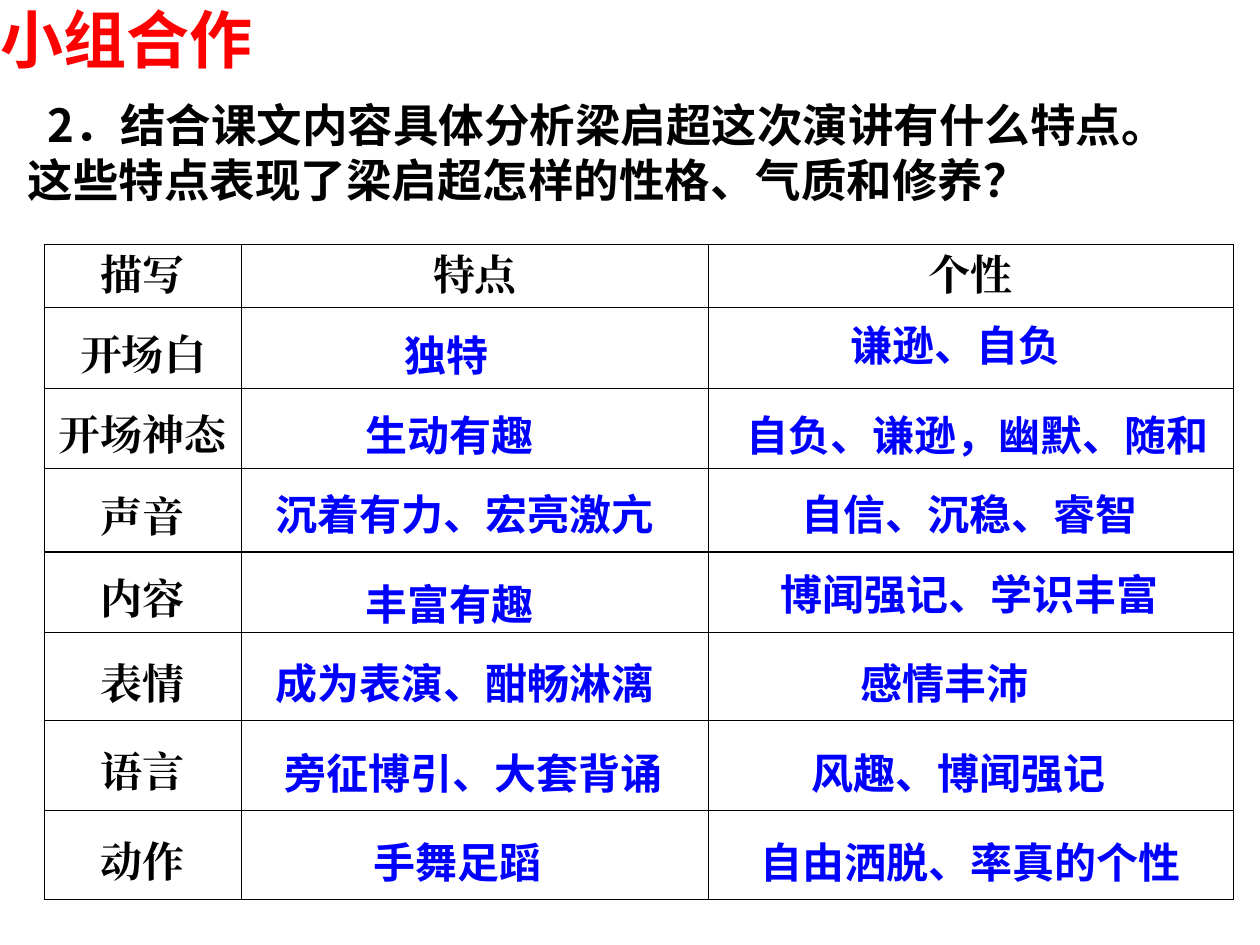
from lxml.etree import SubElement
from pptx import Presentation
from pptx.dml.color import RGBColor
from pptx.enum.text import MSO_ANCHOR, MSO_AUTO_SIZE, PP_ALIGN
from pptx.oxml.ns import qn
from pptx.util import Inches, Pt

RED = RGBColor(0xFF, 0x00, 0x00)
BLACK = RGBColor(0x00, 0x00, 0x00)
BLUE = RGBColor(0x00, 0x00, 0xFF)

COLUMN_WIDTHS = [1.57, 3.7, 4.17]
ROW_HEIGHTS = [0.5, 0.64, 0.64, 0.66, 0.64, 0.7, 0.71, 0.71]
HEADINGS = ["描写", "特点", "个性"]
ASPECTS = ["开场白", "开场神态", "声音", "内容", "表情", "语言", "动作"]

# Answers of each column: left, top, text
FEATURES = [
    (3.11, 2.57, "独特"),
    (2.8, 3.2, "生动有趣"),
    (2.09, 3.83, "沉着有力、宏亮激亢"),
    (2.8, 4.54, "丰富有趣"),
    (2.09, 5.17, "成为表演、酣畅淋漓"),
    (2.16, 5.88, "旁征博引、大套背诵"),
    (2.87, 6.59, "手舞足蹈"),
]
PERSONALITY = [
    (6.65, 2.49, "谦逊、自负"),
    (5.83, 3.2, "自负、谦逊，幽默、随和"),
    (6.26, 3.83, "自信、沉稳、睿智"),
    (6.1, 4.46, "博闻强记、学识丰富"),
    (6.73, 5.17, "感情丰沛"),
    (6.34, 5.88, "风趣、博闻强记"),
    (5.94, 6.59, "自由洒脱、率真的个性"),
]
CHARACTER_WIDTH, BOX_PADDING = 0.354, 0.28


def add_run(paragraph, text, size, font_name, color, shadow=True):
    run = paragraph.add_run()
    run.text = text
    run.font.size = Pt(size)
    run.font.bold = True
    run.font.color.rgb = color
    properties = run.font._element
    if shadow:
        effects = SubElement(properties, qn("a:effectLst"))
        outer = SubElement(effects, qn("a:outerShdw"), blurRad="38100", dist="38100",
                           dir="2700000", algn="tl")
        SubElement(outer, qn("a:srgbClr"), val="C0C0C0")
    SubElement(properties, qn("a:ea"), typeface=font_name)
    run.font.name = font_name


def add_borders(cell):
    properties = cell._tc.get_or_add_tcPr()
    for side in ("lnL", "lnR", "lnT", "lnB"):
        line = SubElement(properties, qn(f"a:{side}"), w=str(Pt(0.75)))
        fill = SubElement(line, qn("a:solidFill"))
        SubElement(fill, qn("a:srgbClr"), val=str(BLACK))


presentation = Presentation()
presentation.slide_width = Inches(10)
presentation.slide_height = Inches(7.5)
slide = presentation.slides.add_slide(presentation.slide_layouts[5])

# Title
title = slide.shapes.title
title.left, title.top = Inches(0), Inches(0)
title.width, title.height = Inches(3.35), Inches(0.6)
frame = title.text_frame
frame.margin_left = frame.margin_right = frame.margin_top = frame.margin_bottom = 0
frame.vertical_anchor = MSO_ANCHOR.TOP
frame.auto_size = MSO_AUTO_SIZE.NONE
frame.paragraphs[0].alignment = PP_ALIGN.LEFT
add_run(frame.paragraphs[0], "小组合作", 36, "Arial", RED)

# Question
question = slide.shapes.add_textbox(Inches(0.12), Inches(0.72), Inches(9.69), Inches(0.97))
frame = question.text_frame
frame.word_wrap = True
frame.margin_right = Inches(0.3)
frame.vertical_anchor = MSO_ANCHOR.MIDDLE
paragraph = frame.paragraphs[0]
paragraph.line_spacing = Pt(31.4)
paragraph._p.get_or_add_pPr().set("indent", str(Inches(0.16)))
add_run(paragraph, "2．结合课文内容具体分析梁启超这次演讲有什么特点。"
        "这些特点表现了梁启超怎样的性格、气质和修养？", 26, "Noto Sans CJK SC", BLACK)

# Table with headings and aspects
table = slide.shapes.add_table(
    len(ROW_HEIGHTS), len(COLUMN_WIDTHS), Inches(0.35), Inches(1.94),
    Inches(sum(COLUMN_WIDTHS)), Inches(sum(ROW_HEIGHTS))).table
table.first_row = table.horz_banding = False
for column, width in zip(table.columns, COLUMN_WIDTHS):
    column.width = Inches(width)
for row, height in zip(table.rows, ROW_HEIGHTS):
    row.height = Inches(height)
for cell in table.iter_cells():
    add_borders(cell)
    cell.fill.background()
    cell.vertical_anchor = MSO_ANCHOR.MIDDLE

labels = [(0, column, text) for column, text in enumerate(HEADINGS)]
labels += [(row, 0, text) for row, text in enumerate(ASPECTS, 1)]
for row, column, text in labels:
    paragraph = table.cell(row, column).text_frame.paragraphs[0]
    paragraph.alignment = PP_ALIGN.CENTER
    if row > 0:
        paragraph.line_spacing = 1.35
    add_run(paragraph, text, 24, "Times New Roman", BLACK, shadow=False)

# Answers over the table, each as wide as its text
for left, top, text in FEATURES + PERSONALITY:
    width = len(text) * CHARACTER_WIDTH + BOX_PADDING
    answer = slide.shapes.add_textbox(Inches(left), Inches(top), Inches(width), Inches(0.5))
    answer.text_frame.word_wrap = True
    add_run(answer.text_frame.paragraphs[0], text, 24, "Arial", BLUE)

presentation.save("out.pptx")
